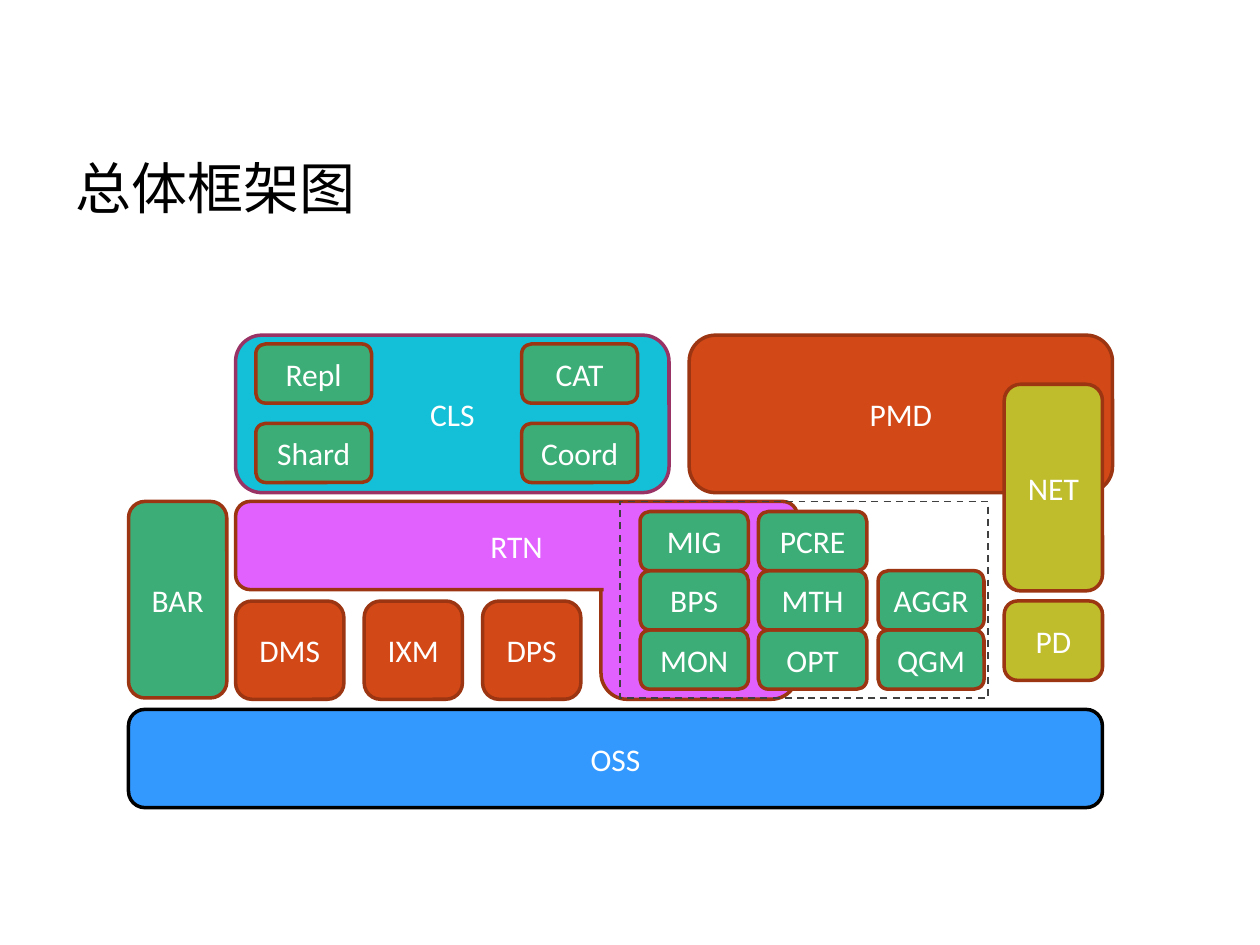
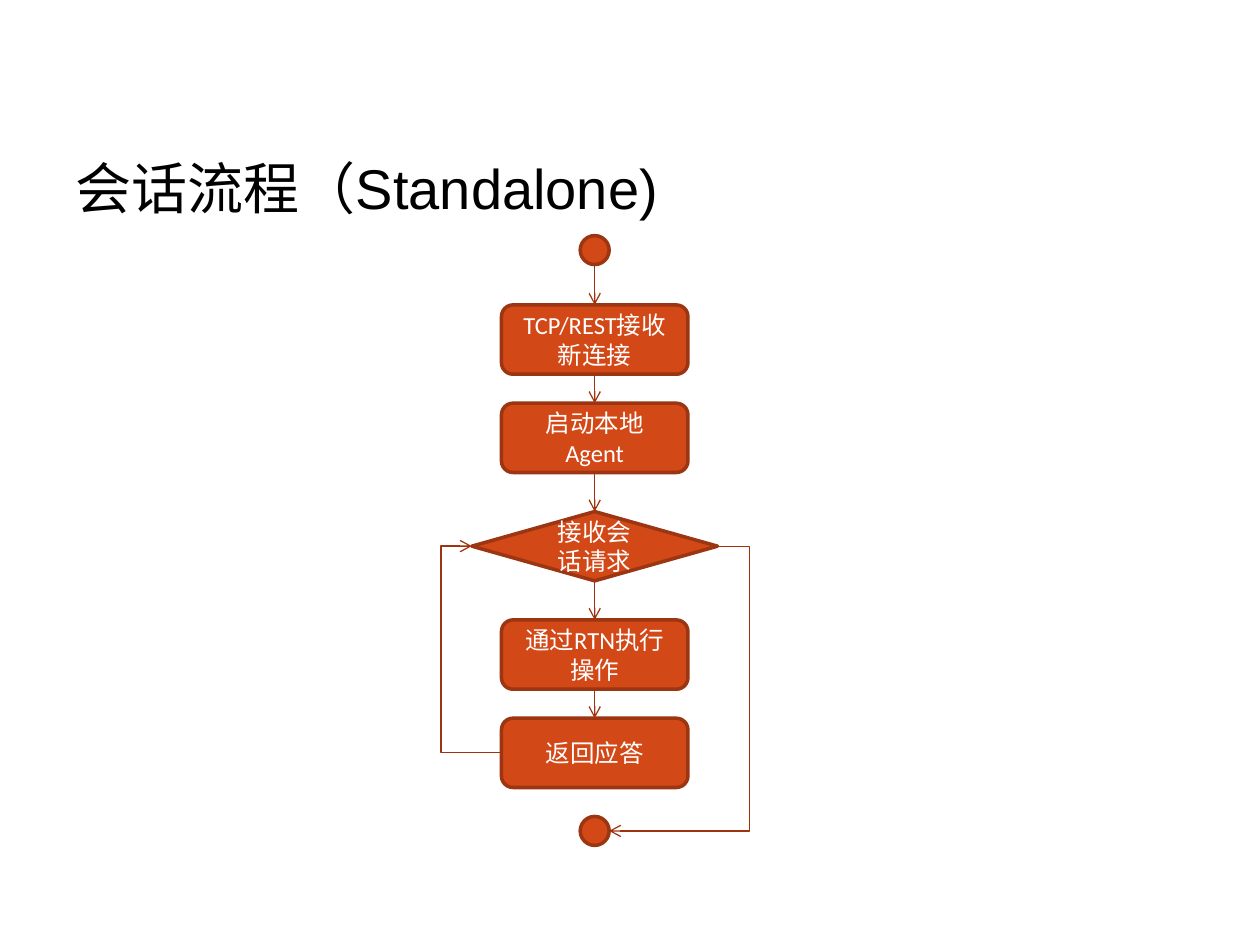
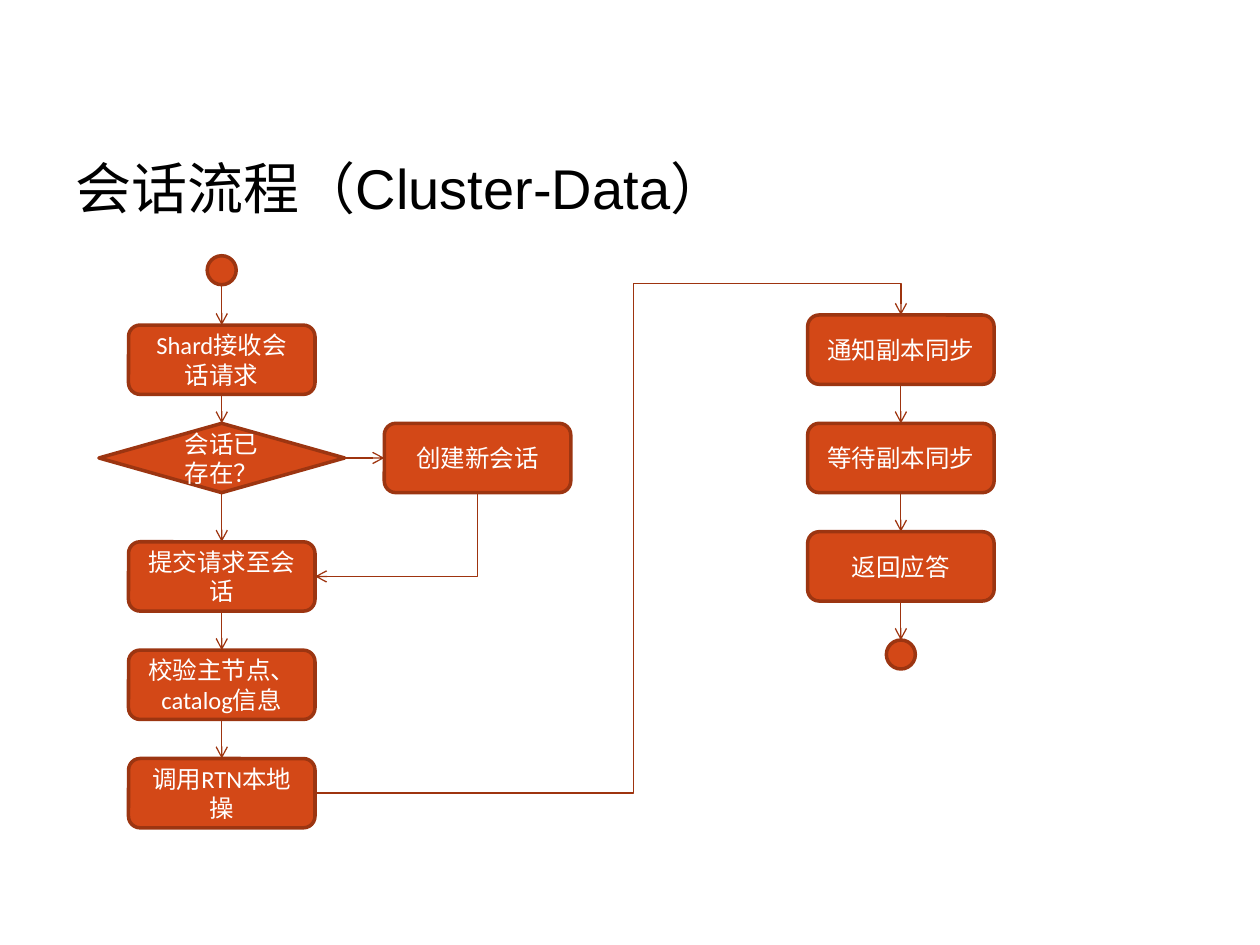
from pptx import Presentation
from pptx import util as u
from pptx.dml.color import RGBColor
from pptx.enum import dml, shapes, text
from pptx.oxml.ns import qn
from lxml import etree

COLORS = {
    "title": "000000", "label": "FFFFFF", "arrow": "9E340F",
    "border": "9C3511", "black": "000000", "purple": "993366", "dash": "404040",
    "orange": "D34817", "green": "3DAD78", "olive": "C0BD2D",
    "pink": "E161FF", "cyan": "13C0D7", "blue": "3399FF",
}
KIND = shapes.MSO_SHAPE
STEP, DECISION, DOT = KIND.ROUNDED_RECTANGLE, KIND.FLOWCHART_DECISION, KIND.FLOWCHART_CONNECTOR
SIZES = {STEP: (1.48, 0.55), DECISION: (1.95, 0.55), DOT: (0.23, 0.23)}
TOP, LEFT, BOTTOM, RIGHT = range(4)


def color(name):
    return RGBColor.from_string(COLORS[name])


def add_titled_page(deck, title):
    page = deck.slides.add_slide(deck.slide_layouts[5])
    box = page.shapes.title
    box.left, box.top, box.width, box.height = map(u.Inches, (0.5, 0.86, 9, 1.25))
    box.text_frame.text = title
    box.text_frame.vertical_anchor = text.MSO_ANCHOR.MIDDLE
    para = box.text_frame.paragraphs[0]
    para.alignment = text.PP_ALIGN.LEFT
    para.font.name, para.font.size = "Arial", u.Pt(32)
    para.font.color.rgb = color("title")
    return page


def add_block(canvas, kind, area, fill, label="", size=18, border="border", weight=2):
    block = canvas.add_shape(kind, *map(u.Inches, area))
    block.shadow.inherit = False
    if fill:
        block.fill.solid()
        block.fill.fore_color.rgb = color(fill)
    else:
        block.fill.background()
    if border:
        block.line.color.rgb = color(border)
        block.line.width = u.Pt(weight)
    else:
        block.line.fill.background()
    if label:
        frame = block.text_frame
        frame.text = label
        frame.word_wrap = True
        frame.vertical_anchor = text.MSO_ANCHOR.MIDDLE
        para = frame.paragraphs[0]
        para.alignment = text.PP_ALIGN.CENTER
        para.font.name, para.font.size = "Calibri", u.Pt(size)
        para.font.color.rgb = color("label")
    return block


# Connectors
def style_arrow(line):
    line.line.color.rgb = color("arrow")
    line.line.width = u.Pt(0.75)
    properties = line.element.spPr
    etree.SubElement(properties.find(qn("a:ln")), qn("a:tailEnd"), type="arrow")
    etree.SubElement(properties, qn("a:effectLst"))


def side_point(block, side):
    middle_x, middle_y = block.left + block.width // 2, block.top + block.height // 2
    return {TOP: (middle_x, block.top), LEFT: (block.left, middle_y),
            BOTTOM: (middle_x, block.top + block.height),
            RIGHT: (block.left + block.width, middle_y)}[side]


def add_arrow(page, source, target, leave=BOTTOM, enter=TOP):
    line = page.shapes.add_connector(shapes.MSO_CONNECTOR.STRAIGHT,
                                     *side_point(source, leave), *side_point(target, enter))
    # Dots number their connection sites differently, so only the others are joined
    if source.auto_shape_type != DOT:
        line.begin_connect(source, leave)
    if target.auto_shape_type != DOT:
        line.end_connect(target, enter)
    style_arrow(line)


def add_elbow(page, start, end, lanes=()):
    """Bend through the lanes (x, then y); without lanes go down, then left."""
    corners = start, end
    if not lanes:
        middle = [(a + b) // 2 for a, b in zip(start, end)]
        half_x, half_y = (abs(a - b) // 2 for a, b in zip(start, end))
        corners = ((middle[0] - half_y, middle[1] - half_x),
                   (middle[0] + half_y, middle[1] + half_x))
    line = page.shapes.add_connector(shapes.MSO_CONNECTOR.ELBOW, *corners[0], *corners[1])
    properties = line.element.spPr
    if not lanes:
        properties.find(qn("a:xfrm")).set("rot", str(90 * 60000))
    geometry = properties.find(qn("a:prstGeom"))
    geometry.set("prst", f"bentConnector{2 + len(lanes)}")
    guides = geometry.find(qn("a:avLst"))
    for number, (lane, first, last) in enumerate(zip(lanes, start, end), 1):
        share = round((u.Inches(lane) - first) / (last - first) * 100000)
        etree.SubElement(guides, qn("a:gd"), name=f"adj{number}", fmla=f"val {share}")
    style_arrow(line)


# Slide 1: module map
def add_framework(page, left, top):
    canvas = page.shapes.add_group_shape().shapes

    def module(x, y, width, height, fill, label="", kind=STEP, **style):
        return add_block(canvas, kind, (left + x, top + y, width, height), fill, label, **style)

    # Base and storage row
    module(0, 2.97, 7.73, 0.78, "blue", "OSS", border="black")
    for x, width, label in ((0.85, 0.86, "DMS"), (1.87, 0.78, "IXM"), (2.81, 0.78, "DPS")):
        module(x, 2.11, width, 0.78, "orange", label)

    # Runtime: two blocks merged by a borderless patch
    module(3.75, 1.64, 1.56, 1.25, "pink")
    module(0.85, 1.32, 4.46, 0.7, "pink", "RTN")
    module(3.77, 1.79, 1.53, 0.47, "pink", kind=KIND.RECTANGLE, border=None)
    module(0, 1.32, 0.78, 1.56, "green", "BAR")
    module(6.95, 2.11, 0.78, 0.63, "olive", "PD")

    # Runtime components, each column from its first row
    columns = ((4.06, 0.86, 0, ("MIG", "BPS", "MON")),
               (5, 0.86, 0, ("PCRE", "MTH", "OPT")),
               (5.95, 0.84, 1, ("AGGR", "QGM")))
    for x, width, first_row, labels in columns:
        for row, label in reversed(list(enumerate(labels, first_row))):
            module(x, 1.4 + 0.47 * row, width, 0.47, "green", label)
    frame = module(3.9, 1.32, 2.92, 1.56, None, kind=KIND.RECTANGLE, border="dash", weight=1)
    frame.line.dash_style = dml.MSO_LINE.DASH

    # Cluster and process management
    module(0.85, 0, 3.44, 1.25, "cyan", "CLS", border="purple")
    for x, labels in ((1.01, ("Repl", "Shard")), (3.12, ("CAT", "Coord"))):
        for row, label in enumerate(labels):
            module(x, 0.07 + 0.63 * row, 0.92, 0.47, "green", label)
    module(4.45, 0, 3.36, 1.25, "orange", "PMD")
    module(6.95, 0.39, 0.78, 1.64, "olive", "NET")


# Slides 2 and 3: flow charts
def add_node(page, center, top, kind, label=""):
    width, height = SIZES[kind]
    return add_block(page.shapes, kind, (center - width / 2, top, width, height),
                     "orange", label, size=14)


def add_flow(page, center, top, nodes):
    """Stack nodes given as (offset, kind, label) and chain them with arrows."""
    blocks = [add_node(page, center, top + offset, kind, label) for offset, kind, label in nodes]
    for source, target in zip(blocks, blocks[1:]):
        add_arrow(page, source, target)
    return blocks


def add_standalone_flow(page, center, top):
    blocks = add_flow(page, center, top, (
        (0, DOT, ""),
        (0.55, STEP, "TCP/REST接收新连接"),
        (1.33, STEP, "启动本地Agent"),
        (2.19, DECISION, "接收会话请求"),
        (3.05, STEP, "通过RTN执行操作"),
        (3.83, STEP, "返回应答"),
    ))
    request, reply = blocks[3], blocks[5]
    finish = add_node(page, center, top + 4.61, DOT)
    add_elbow(page, side_point(reply, LEFT), side_point(request, LEFT), [center - 1.22])
    add_elbow(page, side_point(request, RIGHT), side_point(finish, RIGHT), [center + 1.23])


def add_cluster_flow(page, center, top):
    # Session handling
    blocks = add_flow(page, center, top, (
        (0, DOT, ""),
        (0.55, STEP, "Shard接收会话请求"),
        (1.33, DECISION, "会话已存在？"),
        (2.27, STEP, "提交请求至会话"),
        (3.13, STEP, "校验主节点、catalog信息"),
        (3.99, STEP, "调用RTN本地操"),
    ))
    exists, submit, execute = blocks[2], blocks[3], blocks[5]
    create = add_node(page, center + 2.03, top + 1.33, STEP, "创建新会话")
    add_arrow(page, exists, create, RIGHT, LEFT)
    add_elbow(page, side_point(create, BOTTOM), side_point(submit, RIGHT))

    # Replica synchronisation
    notify = add_flow(page, center + 5.39, top + 0.47, (
        (0, STEP, "通知副本同步"),
        (0.86, STEP, "等待副本同步"),
        (1.72, STEP, "返回应答"),
        (2.58, DOT, ""),
    ))[0]
    add_elbow(page, side_point(execute, RIGHT), side_point(notify, TOP),
              [center + 3.27, top + 0.22])


def main():
    deck = Presentation()
    deck.slide_width, deck.slide_height = u.Inches(10), u.Inches(7.5)
    add_framework(add_titled_page(deck, "总体框架图"), 1.02, 2.66)
    add_standalone_flow(add_titled_page(deck, "会话流程（Standalone)"), 4.72, 1.87)
    add_cluster_flow(add_titled_page(deck, "会话流程（Cluster-Data）"), 1.76, 2.03)
    deck.save("out.pptx")


if __name__ == "__main__":
    main()
